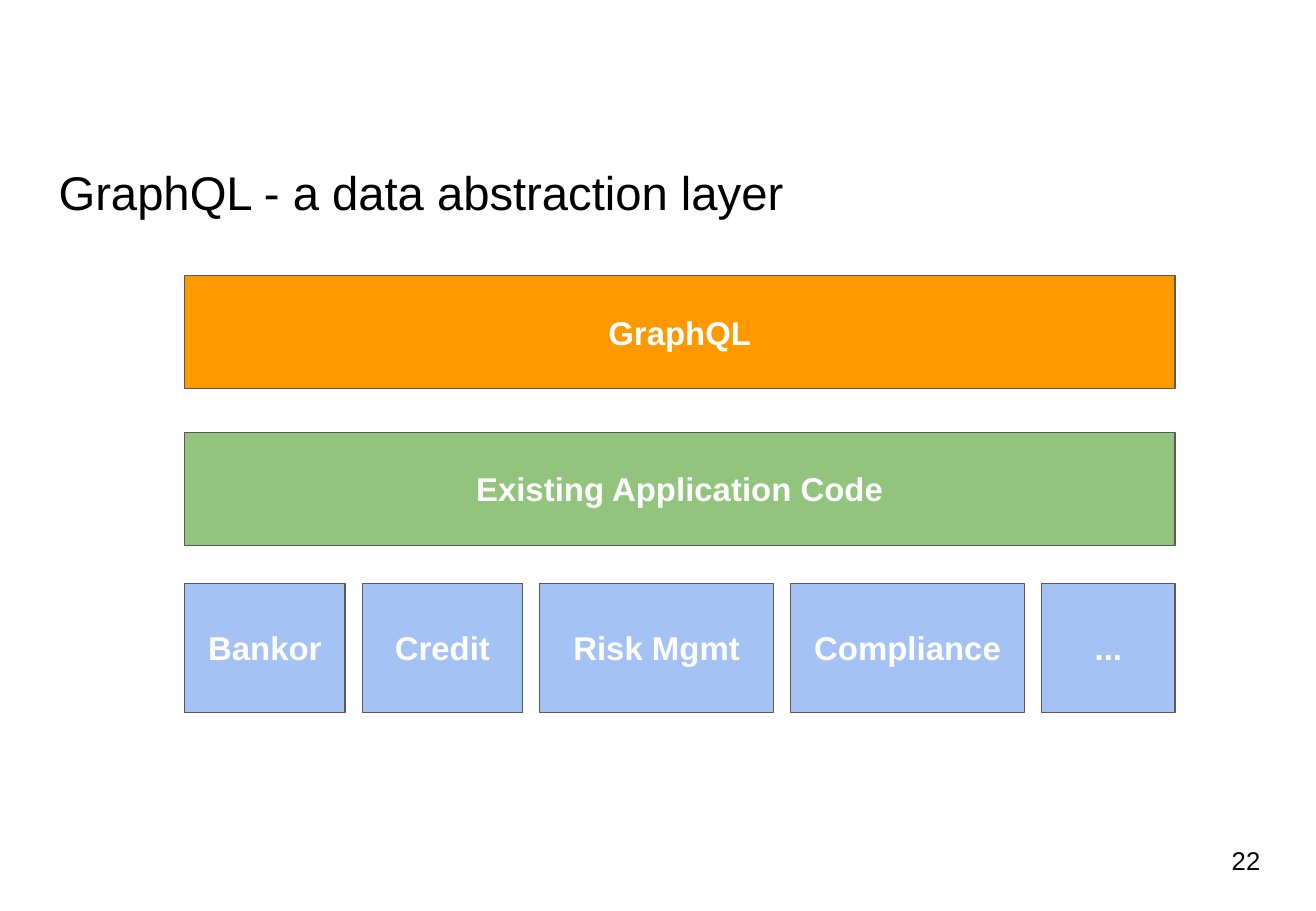
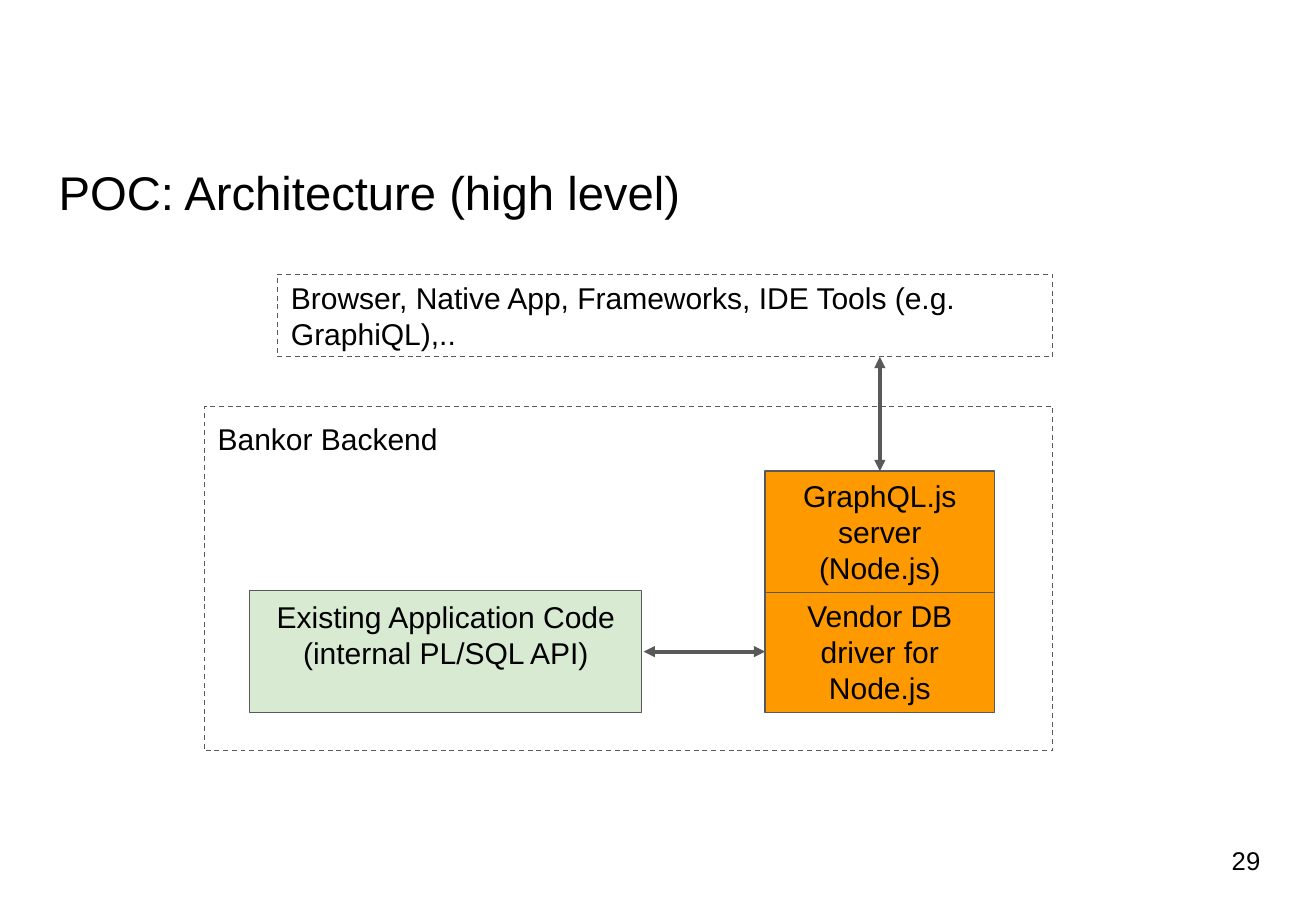
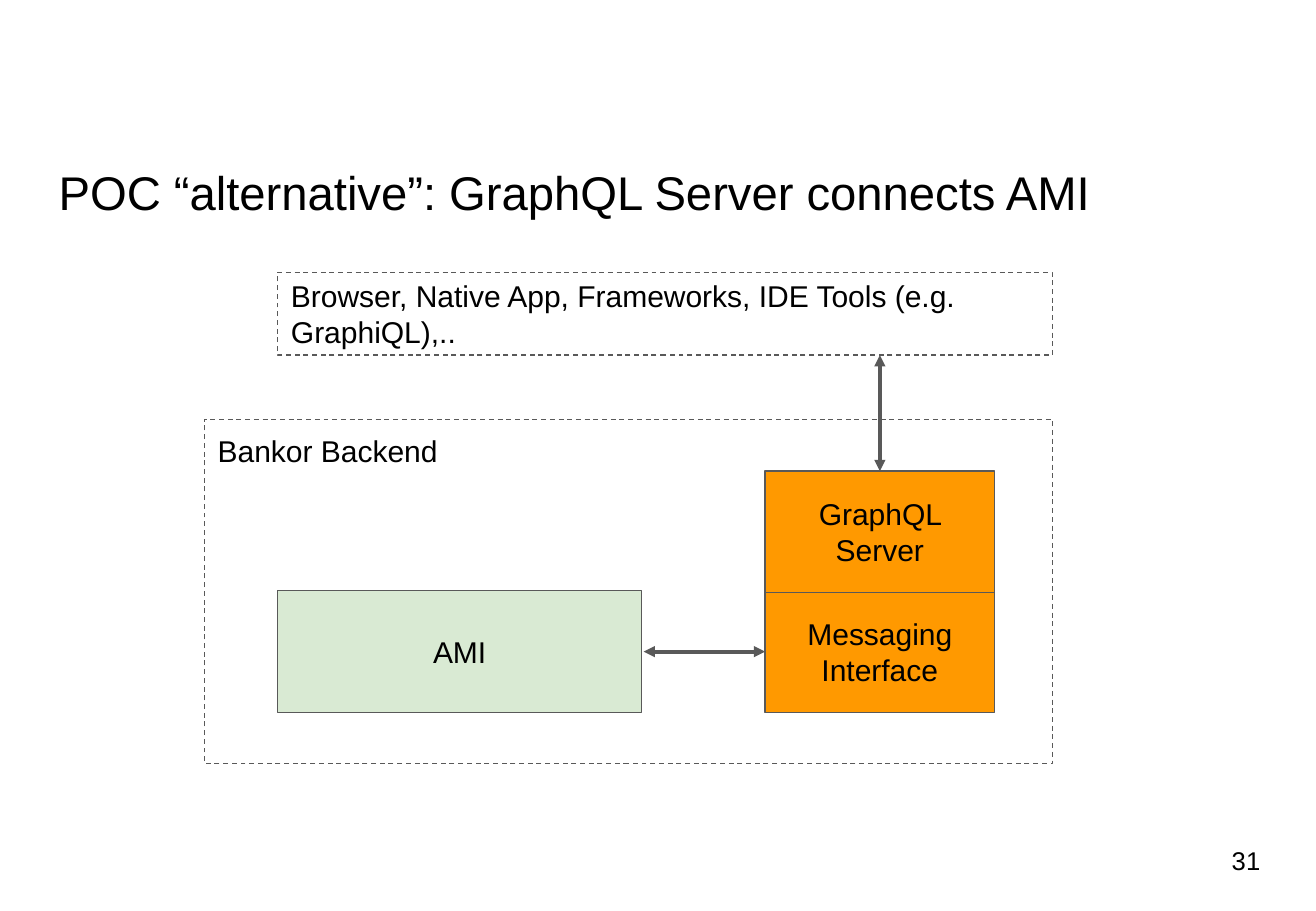
from collections import namedtuple

from lxml.etree import SubElement
from pptx import Presentation
from pptx.dml.color import RGBColor
from pptx.enum.dml import MSO_LINE
from pptx.enum.shapes import MSO_CONNECTOR, MSO_SHAPE
from pptx.enum.text import MSO_ANCHOR, PP_ALIGN
from pptx.oxml.ns import qn
from pptx.util import Pt

Box = namedtuple("Box", "left top width height")

BLACK = RGBColor(0x00, 0x00, 0x00)
WHITE = RGBColor(0xFF, 0xFF, 0xFF)
GREY = RGBColor(0x59, 0x59, 0x59)
ORANGE = RGBColor(0xFF, 0x99, 0x00)
GREEN = RGBColor(0x93, 0xC4, 0x7D)
PALE_GREEN = RGBColor(0xD9, 0xEA, 0xD3)
BLUE = RGBColor(0xA4, 0xC2, 0xF4)

FONT = "Arial"
INSET = 8
LABEL_SIZE = 17.8
LAYER_SIZE = 19.5
TITLE_BOX = Box(26.75, 88.5, 726.5, 49)
NUMBER_BOX = Box(723, 489.5, 47, 41)
LAYERS_BOX = Box(109.5, 163.25, 587, 259)
ARCHITECTURE_BOX = Box(121, 161.5, 503, 291)


def write(shape, lines, size, color=BLACK, bold=False, align=PP_ALIGN.LEFT,
          anchor=MSO_ANCHOR.TOP, inset=INSET, bottom_inset=None):
    frame = shape.text_frame
    frame.word_wrap = True
    frame.vertical_anchor = anchor
    frame.margin_left = frame.margin_right = frame.margin_top = Pt(inset)
    frame.margin_bottom = Pt(bottom_inset or inset)
    for index, line in enumerate(lines):
        para = frame.add_paragraph() if index else frame.paragraphs[0]
        para.text = line
        para.alignment = align
        para.font.name = FONT
        para.font.size = Pt(size)
        para.font.bold = bold
        para.font.color.rgb = color


def add_text(page, box, text, size, **style):
    write(page.shapes.add_textbox(*map(Pt, box)), [text], size, **style)


def add_block(page, box, lines, fill, size=LABEL_SIZE, dashed=False,
              align=PP_ALIGN.CENTER, anchor=MSO_ANCHOR.MIDDLE, **style):
    block = page.shapes.add_shape(MSO_SHAPE.RECTANGLE, *map(Pt, box))
    block.shadow.inherit = False
    block.fill.solid()
    block.fill.fore_color.rgb = fill
    block.line.color.rgb = GREY
    block.line.width = Pt(0.75)
    if dashed:
        block.line.dash_style = MSO_LINE.DASH
    write(block, lines, size, align=align, anchor=anchor, **style)


def add_double_arrow(page, *ends):
    arrow = page.shapes.add_connector(MSO_CONNECTOR.STRAIGHT, *map(Pt, ends))
    arrow.line.color.rgb = GREY
    arrow.line.width = Pt(2.25)
    line = arrow.line._get_or_add_ln()
    for end in ("a:headEnd", "a:tailEnd"):
        SubElement(line, qn(end), type="triangle")
    SubElement(arrow._element.spPr, qn("a:effectLst"))


def add_page(deck, title, number):
    page = deck.slides.add_slide(deck.slide_layouts[6])
    add_text(page, TITLE_BOX, title, 28)
    add_text(page, NUMBER_BOX, str(number), 15.2,
             anchor=MSO_ANCHOR.MIDDLE, inset=7.2)
    return page


def add_layers(page, box, layers, systems):
    style = dict(size=LAYER_SIZE, color=WHITE, bold=True)
    for index, (label, fill) in enumerate(layers):
        layer = Box(box.left, box.top + index * 93, box.width, 67)
        add_block(page, layer, [label], fill, **style)
    height = 76.5
    top = box.top + box.height - height
    gap = (box.width - sum(width for _, width in systems)) / (len(systems) - 1)
    left = box.left
    for label, width in systems:
        add_block(page, Box(left, top, width, height), [label], BLUE, **style)
        left += width + gap


def add_architecture(page, box, client_offset, backend_offset,
                     code_lines, code_width, code_bottom_inset,
                     driver_lines, server_lines):
    right = box.left + box.width
    client = Box(right - 459.5, box.top + client_offset, 459.5, 49)
    backend = Box(box.left, box.top + backend_offset, box.width, 204)
    server = Box(right - 170.5, box.top + 117.75, 136, 72)
    driver = server._replace(top=server.top + 71)
    code = Box(server.left - 73 - code_width, driver.top, code_width, 72)

    add_block(page, backend, ["Bankor Backend"], WHITE, dashed=True,
              align=PP_ALIGN.LEFT, anchor=MSO_ANCHOR.TOP)
    add_block(page, code, code_lines, PALE_GREEN,
              bottom_inset=code_bottom_inset)
    add_block(page, driver, driver_lines, ORANGE)
    middle = driver.top + driver.height / 2
    add_double_arrow(page, server.left - 72, middle, server.left, middle)
    add_block(page, server, server_lines, ORANGE)
    add_block(page, client,
              ["Browser, Native App, Frameworks, IDE Tools (e.g. GraphiQL),.."],
              WHITE, dashed=True, align=PP_ALIGN.LEFT)
    center = server.left + server.width / 2
    add_double_arrow(page, center, client.top + client.height,
                     center, server.top)


def main():
    deck = Presentation()
    deck.slide_width, deck.slide_height = Pt(780), Pt(540)

    page = add_page(deck, "GraphQL - a data abstraction layer", 22)
    add_layers(page, LAYERS_BOX,
               [("GraphQL", ORANGE), ("Existing Application Code", GREEN)],
               [("Bankor", 95), ("Credit", 95), ("Risk Mgmt", 138.5),
                ("Compliance", 138.5), ("...", 79)])

    page = add_page(deck, "POC: Architecture (high level)", 29)
    add_architecture(
        page, ARCHITECTURE_BOX, client_offset=1, backend_offset=79.5,
        code_lines=["Existing Application Code", "(internal PL/SQL API)"],
        code_width=232.5, code_bottom_inset=28.5,
        driver_lines=["Vendor DB driver for Node.js"],
        server_lines=["GraphQL.js server", "(Node.js)"])

    page = add_page(deck, "POC “alternative”: GraphQL Server connects AMI", 31)
    add_architecture(
        page, ARCHITECTURE_BOX, client_offset=0, backend_offset=87,
        code_lines=["AMI"], code_width=216, code_bottom_inset=INSET,
        driver_lines=["Messaging Interface"],
        server_lines=["GraphQL Server"])

    deck.save("out.pptx")


if __name__ == "__main__":
    main()
